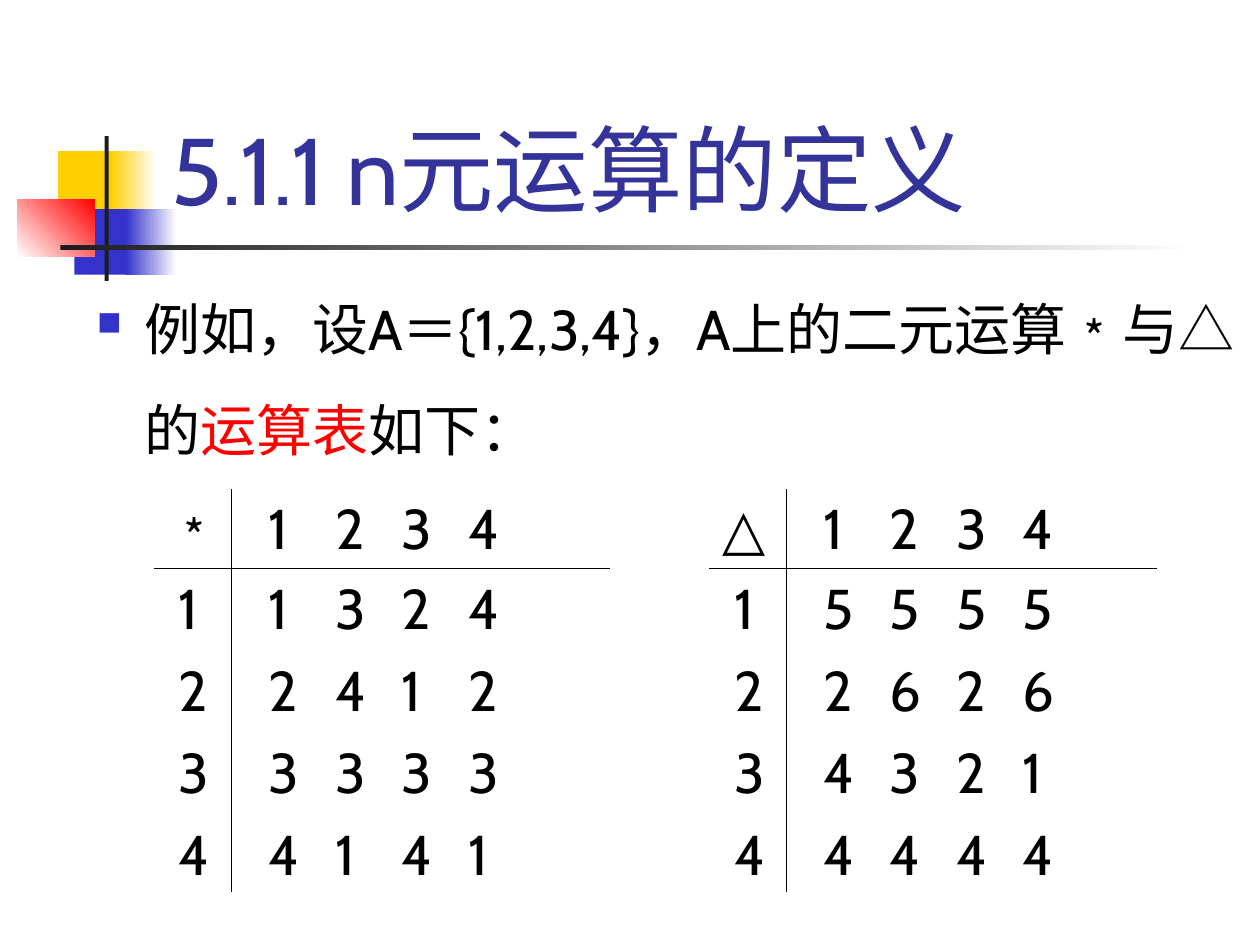
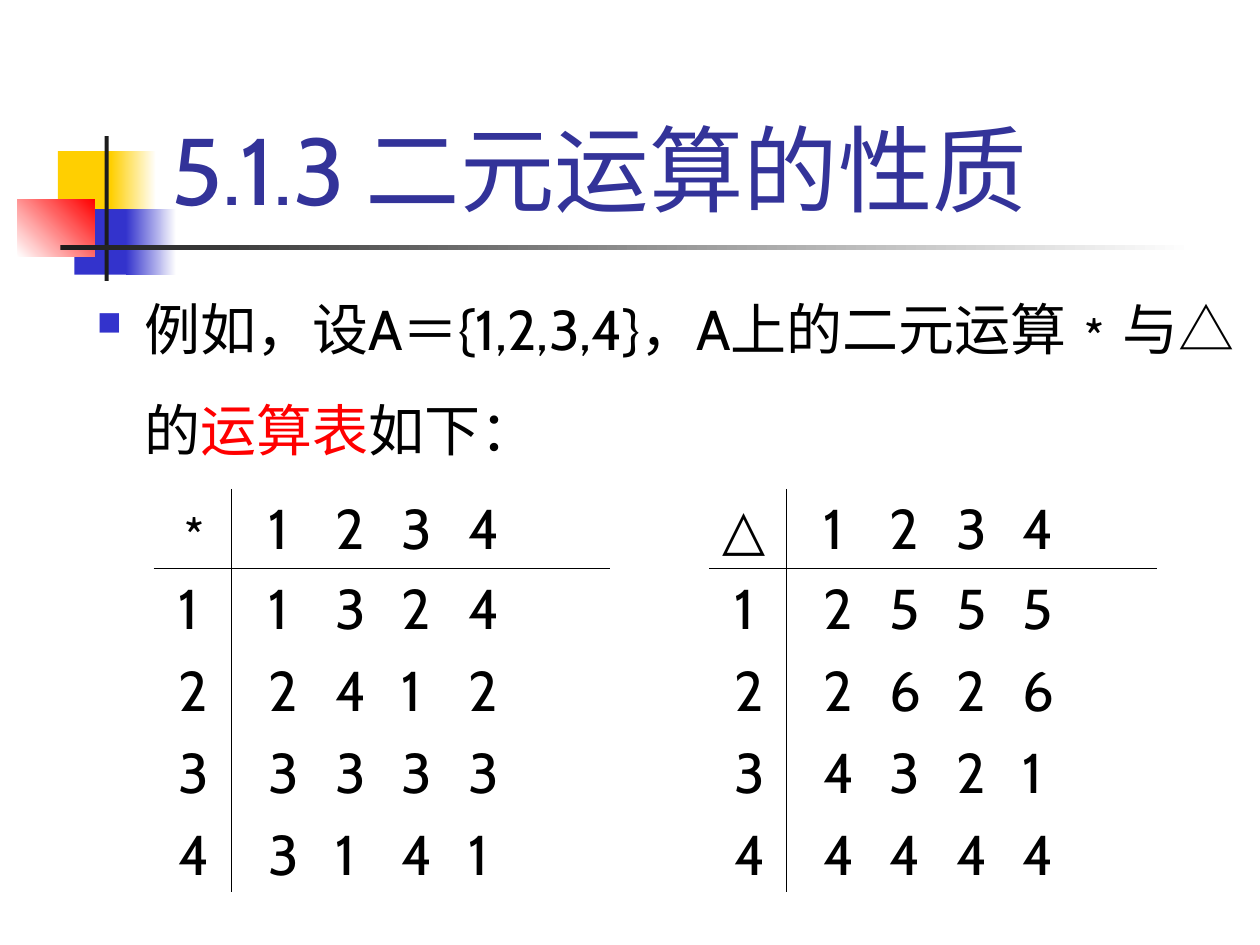
from lxml import etree
from pptx import Presentation
from pptx.dml.color import RGBColor
from pptx.enum.shapes import MSO_SHAPE
from pptx.enum.text import MSO_ANCHOR
from pptx.oxml.ns import qn
from pptx.util import Pt

RECTANGLE = MSO_SHAPE.RECTANGLE
TOP, BOTTOM = MSO_ANCHOR.TOP, MSO_ANCHOR.BOTTOM

BLACK = RGBColor(0x00, 0x00, 0x00)
WHITE = RGBColor(0xFF, 0xFF, 0xFF)
RED = RGBColor(0xFF, 0x00, 0x00)
YELLOW = RGBColor(0xFF, 0xCF, 0x01)
BLUE = RGBColor(0x33, 0x33, 0xCC)
TITLE_BLUE = RGBColor(0x33, 0x33, 0x99)
CHARCOAL = RGBColor(0x1C, 0x1C, 0x1C)

FONT = "Cabin"
TITLE_SIZE, BODY_SIZE = 54, 32
RULE_WIDTH = 0.45
CELL_MARGIN = 7.2
DIGIT_PITCH = 38
LABEL_INDENT, DIGIT_INDENT = 7, 14
TABLE_TOP = 279.36
ROW_HEIGHTS = (45.4, 184.3)
STAR_LEFT, STAR_COLUMNS = 87.84, (44.6, 216)
TRIANGLE_LEFT, TRIANGLE_COLUMNS = 405.4, (43.9, 211.7)

ELEMENTS = "1234"
INTRO = [
    ("例如，设A＝{1,2,3,4}，A上的二元运算﹡与△的", BLACK),
    ("运算表", RED),
    ("如下：", BLACK),
]
SLIDES = [
    ("5.1.1 n元运算的定义",
     ["1324", "2412", "3333", "4141"],
     ["5555", "2626", "4321", "4444"]),
    ("5.1.3 二元运算的性质",
     ["1324", "2412", "3333", "3141"],
     ["2555", "2626", "4321", "4444"]),
]


def add_child(parent, tag, **attributes):
    child = etree.SubElement(parent, qn(tag))
    for name, value in attributes.items():
        child.set(name, str(value))
    return child


def write_text(paragraph, runs, size=BODY_SIZE, space_before=None, line_spacing=None):
    """Fill a paragraph with (text, colour) runs."""
    for text, color in runs:
        run = paragraph.add_run()
        run.text = text
        run.font.name = FONT
        run.font.size = Pt(size)
        run.font.color.rgb = color
    if space_before is not None:
        paragraph.space_before = Pt(space_before)
    if line_spacing is not None:
        paragraph.line_spacing = line_spacing


def add_text_box(slide, left, top, width, height, anchor=TOP):
    """Add a wrapping text box and return its first paragraph."""
    box = slide.shapes.add_textbox(Pt(left), Pt(top), Pt(width), Pt(height))
    frame = box.text_frame
    frame.word_wrap = True
    frame.vertical_anchor = anchor
    return frame.paragraphs[0]


def add_block(slide, left, top, width, height, color, fade_to=None, angle=0):
    """Add a borderless rectangle, solid or fading to a second colour."""
    block = slide.shapes.add_shape(RECTANGLE, Pt(left), Pt(top), Pt(width), Pt(height))
    block.shadow.inherit = False
    block.line.fill.background()
    if fade_to is None:
        block.fill.solid()
        block.fill.fore_color.rgb = color
    else:
        block.fill.gradient()
        block.fill.gradient_angle = angle
        for stop, stop_color in zip(block.fill.gradient_stops, (color, fade_to)):
            stop.color.rgb = stop_color


def add_title_ornament(slide):
    add_block(slide, 33.12, 86.4, 34.56, 37.44, YELLOW)
    add_block(slide, 63.36, 86.4, 25.92, 37.44, YELLOW, fade_to=WHITE)
    add_block(slide, 42.48, 119.52, 33.12, 37.44, BLUE)
    add_block(slide, 72, 119.52, 28.8, 37.44, BLUE, fade_to=WHITE)
    add_block(slide, 10.08, 113.76, 43.92, 33.12, WHITE, fade_to=RED, angle=45)
    add_block(slide, 59.76, 77.76, 2.4, 82.8, CHARCOAL)
    add_block(slide, 34.56, 140.2, 648, 2.4, CHARCOAL, fade_to=WHITE)


def add_title(slide, title):
    paragraph = add_text_box(slide, 90.72, 16.56, 613.44, 115.2, anchor=BOTTOM)
    write_text(paragraph, [(title, TITLE_BLUE)], size=TITLE_SIZE)


def add_intro(slide):
    paragraph = add_text_box(slide, 48.24, 145.44, 671.76, 394.56)
    write_text(paragraph, INTRO, space_before=8, line_spacing=1.5)
    properties = paragraph._p.get_or_add_pPr()
    properties.set("marL", str(Pt(27)))
    properties.set("indent", str(Pt(-27)))
    bullet_color = add_child(properties, "a:buClr")
    add_child(bullet_color, "a:srgbClr", val=BLUE)
    add_child(properties, "a:buSzPct", val=60000)
    add_child(properties, "a:buChar", char="■")


def set_borders(cell, visible_sides):
    properties = cell._tc.get_or_add_tcPr()
    for side in "LRTB":
        line = add_child(properties, f"a:ln{side}", w=Pt(RULE_WIDTH))
        if side in visible_sides:
            fill = add_child(line, "a:solidFill")
            add_child(fill, "a:srgbClr", val=BLACK)
        else:
            add_child(line, "a:noFill")


def fill_cell(cell, lines, indent, visible_sides):
    """Write one paragraph per line, its symbols set on evenly spaced tabs."""
    set_borders(cell, visible_sides)
    cell.fill.background()
    cell.margin_left = Pt(CELL_MARGIN + indent)
    frame = cell.text_frame
    for index, symbols in enumerate(lines):
        paragraph = frame.add_paragraph() if index else frame.paragraphs[0]
        write_text(paragraph, [("\t".join(symbols), BLACK)], space_before=8)
        if len(symbols) > 1:
            tabs = add_child(paragraph._p.get_or_add_pPr(), "a:tabLst")
            for column in range(1, len(symbols)):
                add_child(tabs, "a:tab", pos=Pt(column * DIGIT_PITCH), algn="l")


def add_operation_table(slide, left, column_widths, operator, results):
    frame = slide.shapes.add_table(
        2, 2, Pt(left), Pt(TABLE_TOP), Pt(sum(column_widths)), Pt(sum(ROW_HEIGHTS)))
    table = frame.table
    table.first_row = False
    table.horz_banding = False
    for column, width in zip(table.columns, column_widths):
        column.width = Pt(width)
    for row, height in zip(table.rows, ROW_HEIGHTS):
        row.height = Pt(height)
    fill_cell(table.cell(0, 0), [operator], 0, "RB")
    fill_cell(table.cell(0, 1), [ELEMENTS], DIGIT_INDENT, "LB")
    fill_cell(table.cell(1, 0), ELEMENTS, LABEL_INDENT, "RT")
    fill_cell(table.cell(1, 1), results, DIGIT_INDENT, "LT")


def main():
    presentation = Presentation()
    presentation.slide_width = Pt(720)
    presentation.slide_height = Pt(540)
    blank_layout = presentation.slide_layouts[6]
    for title, star_results, triangle_results in SLIDES:
        slide = presentation.slides.add_slide(blank_layout)
        add_title_ornament(slide)
        add_title(slide, title)
        add_intro(slide)
        add_operation_table(slide, STAR_LEFT, STAR_COLUMNS, "﹡", star_results)
        add_operation_table(slide, TRIANGLE_LEFT, TRIANGLE_COLUMNS, "△", triangle_results)
    presentation.save("out.pptx")


if __name__ == "__main__":
    main()
